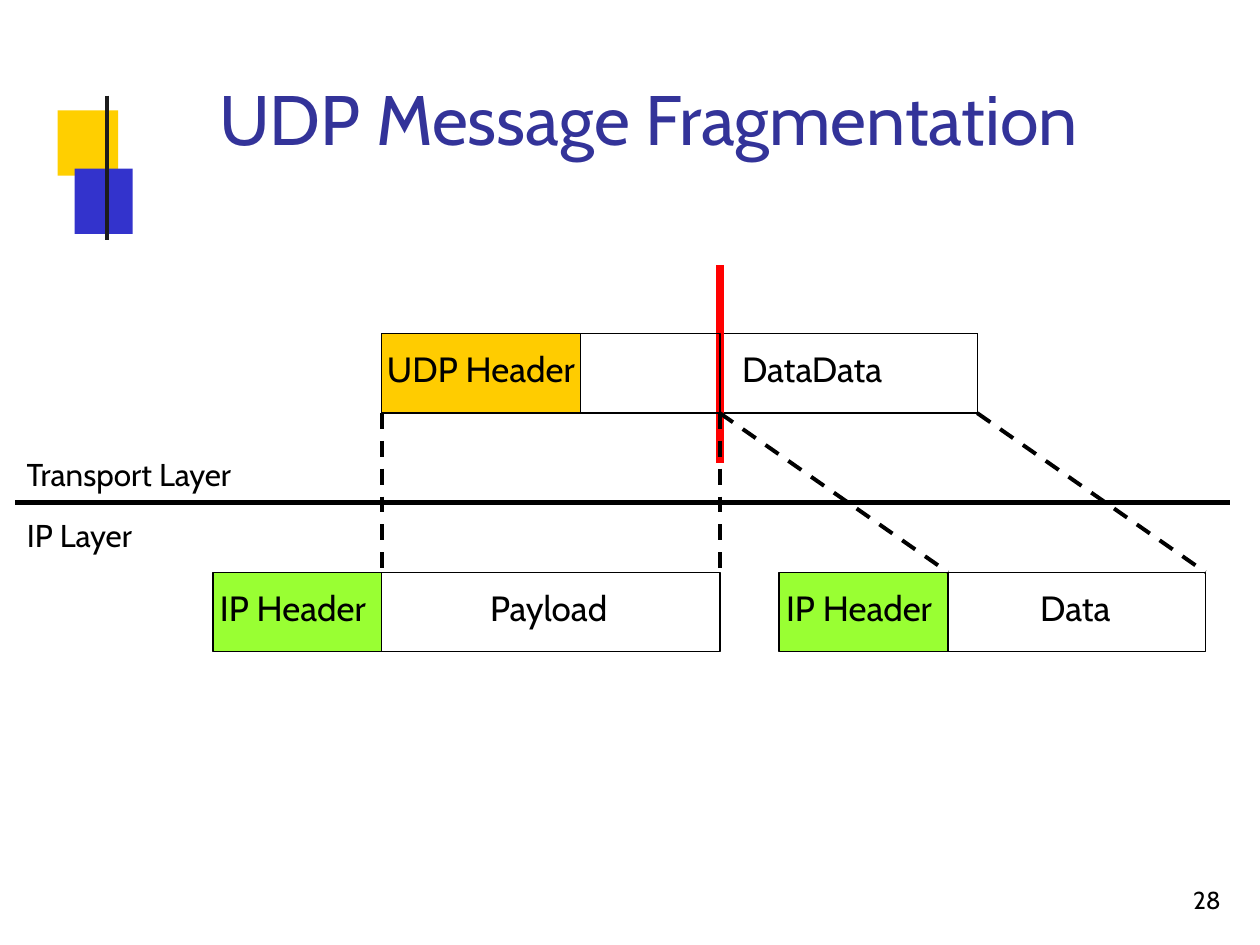
from dataclasses import dataclass

from lxml import etree
from pptx import Presentation
from pptx.dml.color import RGBColor
from pptx.enum.dml import MSO_LINE
from pptx.enum.shapes import MSO_CONNECTOR, MSO_SHAPE
from pptx.enum.text import MSO_ANCHOR, PP_ALIGN
from pptx.oxml.ns import qn
from pptx.util import Pt

RECTANGLE = MSO_SHAPE.RECTANGLE
STRAIGHT = MSO_CONNECTOR.STRAIGHT
DASH = MSO_LINE.DASH
TOP = MSO_ANCHOR.TOP
LEFT, CENTER = PP_ALIGN.LEFT, PP_ALIGN.CENTER

FONT = "Cabin"
BLACK = RGBColor(0x00, 0x00, 0x00)
INK = RGBColor(0x1C, 0x1C, 0x1C)
RED = RGBColor(0xFF, 0x00, 0x00)
GOLD = RGBColor(0xFF, 0xCF, 0x00)
ORANGE = RGBColor(0xFF, 0xCC, 0x00)
GREEN = RGBColor(0x99, 0xFF, 0x33)
BLUE = RGBColor(0x33, 0x33, 0xCC)
NAVY = RGBColor(0x33, 0x33, 0x99)

# Edges of the packet parts
MESSAGE_LEFT = 218.2
UDP_HEADER_RIGHT = 331.9
SPLIT = 411.4
MESSAGE_RIGHT = 558.5
IP_HEADER_WIDTH = 96.5
SECOND_SHIFT = 130.3  # the second fragment moves right to make room for its header
MESSAGE_TOP, FRAGMENT_TOP = 190.8, 327
PART_HEIGHT = 45.3
MESSAGE_BOTTOM = MESSAGE_TOP + PART_HEIGHT


@dataclass(frozen=True)
class Part:
    left: float
    right: float
    top: float
    text: str = ""
    indent: float = 0
    fill: RGBColor | None = None


@dataclass(frozen=True)
class Rule:
    x1: float
    y1: float
    x2: float
    y2: float
    width: float
    color: RGBColor = BLACK
    dashed: bool = False


@dataclass(frozen=True)
class Label:
    text: str
    left: float
    top: float
    width: float
    height: float
    size: float
    color: RGBColor = BLACK
    align: PP_ALIGN = LEFT
    line_spacing: float | None = None


def write(frame, text: str, size: float, color: RGBColor,
          left: float = 0, top: float = 0) -> None:
    frame.word_wrap = True
    frame.vertical_anchor = TOP
    frame.margin_left, frame.margin_top = Pt(left), Pt(top)
    frame.margin_right = frame.margin_bottom = 0
    paragraph = frame.paragraphs[0]
    paragraph.text = text
    paragraph.alignment = LEFT
    paragraph.font.name = FONT
    paragraph.font.size = Pt(size)
    paragraph.font.color.rgb = color


def draw_square(shapes, left: float, top: float, width: float, height: float,
                color: RGBColor) -> None:
    square = shapes.add_shape(RECTANGLE, Pt(left), Pt(top), Pt(width), Pt(height))
    square.shadow.inherit = False
    square.fill.solid()
    square.fill.fore_color.rgb = color
    square.line.fill.background()


def draw_part(shapes, part: Part) -> None:
    box = shapes.add_shape(RECTANGLE, Pt(part.left), Pt(part.top),
                           Pt(part.right - part.left), Pt(PART_HEIGHT))
    box.shadow.inherit = False
    if part.fill is None:
        box.fill.background()
    else:
        box.fill.solid()
        box.fill.fore_color.rgb = part.fill
    box.line.color.rgb = BLACK
    box.line.width = Pt(0.72)
    if part.text:
        write(box.text_frame, part.text, 20, BLACK, part.indent, 7.9)


def draw_rule(shapes, rule: Rule) -> None:
    line = shapes.add_connector(STRAIGHT, Pt(rule.x1), Pt(rule.y1),
                                Pt(rule.x2), Pt(rule.y2))
    line.line.color.rgb = rule.color
    line.line.width = Pt(rule.width)
    if rule.dashed:
        line.line.dash_style = DASH
    etree.SubElement(line._element.spPr, qn("a:effectLst"))


def draw_label(shapes, label: Label) -> None:
    box = shapes.add_textbox(Pt(label.left), Pt(label.top),
                             Pt(label.width), Pt(label.height))
    write(box.text_frame, label.text, label.size, label.color)
    paragraph = box.text_frame.paragraphs[0]
    paragraph.alignment = label.align
    if label.line_spacing:
        paragraph.line_spacing = Pt(label.line_spacing)


SECOND_LEFT = SPLIT + SECOND_SHIFT
MESSAGE_DATA = (
    Part(UDP_HEADER_RIGHT, MESSAGE_RIGHT, MESSAGE_TOP),
    Part(SPLIT, MESSAGE_RIGHT, MESSAGE_TOP, "DataData", 12.6),
)
SPLIT_MARK = Rule(SPLIT, 264.4, SPLIT, 151.2, 4.56, RED)
PARTS = (
    Part(MESSAGE_LEFT, SPLIT, MESSAGE_TOP),
    Part(MESSAGE_LEFT, UDP_HEADER_RIGHT, MESSAGE_TOP, "UDP Header", 2.9, ORANGE),
    Part(MESSAGE_LEFT - IP_HEADER_WIDTH, MESSAGE_LEFT, FRAGMENT_TOP,
         "IP Header", 4, GREEN),
    Part(MESSAGE_LEFT, SPLIT, FRAGMENT_TOP, "Payload", 61.9),
    Part(SECOND_LEFT - IP_HEADER_WIDTH, SECOND_LEFT, FRAGMENT_TOP,
         "IP Header", 4, GREEN),
    Part(SECOND_LEFT, MESSAGE_RIGHT + SECOND_SHIFT, FRAGMENT_TOP, "Data", 52.6),
)
PROJECTIONS = ((MESSAGE_RIGHT, SECOND_SHIFT), (MESSAGE_LEFT, 0),
               (SPLIT, 0), (SPLIT, SECOND_SHIFT))
LABELS = (
    Label("UDP Message Fragmentation", 97.2, 43.2, 546.5, 47.9, 40, NAVY, CENTER, 47.9),
    Label("Transport Layer", 15.3, 260, 125, 22.3, 18),
    Label("IP Layer", 15.3, 294.6, 68, 22.3, 18),
    Label("28", 681.8, 507, 20, 16.6, 14, line_spacing=15.5),
)


def main() -> None:
    deck = Presentation()
    deck.slide_width, deck.slide_height = Pt(720), Pt(540)
    shapes = deck.slides.add_slide(deck.slide_layouts[6]).shapes

    draw_square(shapes, 33, 63, 34.5, 37.4, GOLD)
    draw_square(shapes, 42.6, 96.3, 33.2, 37.4, BLUE)
    draw_rule(shapes, Rule(61.2, 54.6, 61.2, 137.3, 2.52, INK))

    for part in MESSAGE_DATA:
        draw_part(shapes, part)
    draw_rule(shapes, SPLIT_MARK)
    for part in PARTS:
        draw_part(shapes, part)
    for x, shift in PROJECTIONS:
        draw_rule(shapes, Rule(x, MESSAGE_BOTTOM, x + shift, FRAGMENT_TOP,
                               2.28, dashed=True))
    draw_rule(shapes, Rule(8.6, 287.1, 702.8, 287.1, 3))
    for label in LABELS:
        draw_label(shapes, label)

    deck.save("out.pptx")


if __name__ == "__main__":
    main()
